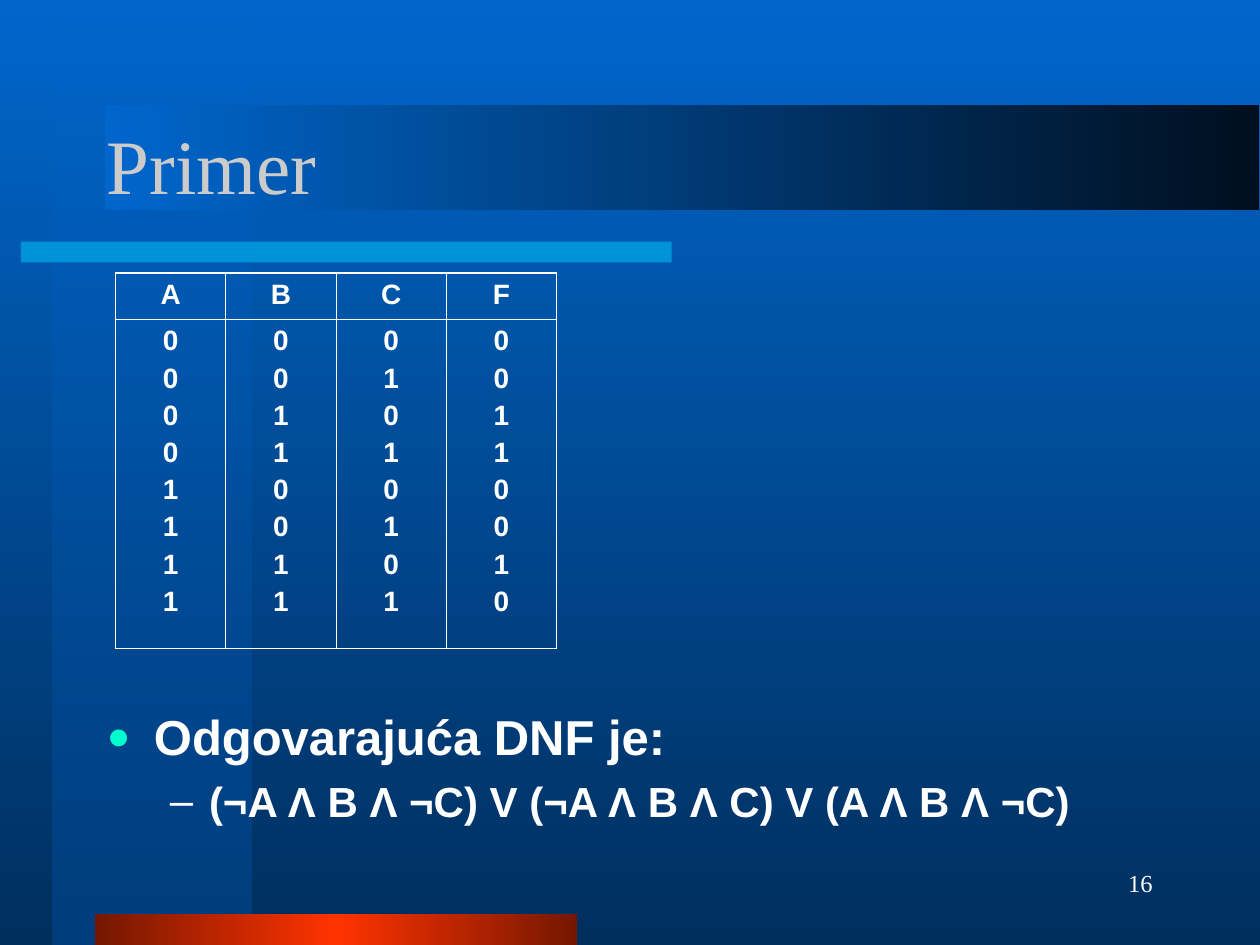
from lxml.etree import SubElement
from pptx import Presentation
from pptx.dml.color import RGBColor
from pptx.enum.shapes import MSO_SHAPE
from pptx.enum.text import MSO_ANCHOR, MSO_AUTO_SIZE, PP_ALIGN
from pptx.oxml import parse_xml
from pptx.oxml.ns import nsdecls, qn
from pptx.util import Cm, Pt

COLORS = {
    "white": "FFFFFF", "title": "CBCBCB", "bullet": "00FFCC", "cyan": "00CCFF",
    "blue": "0066CC", "deep": "002F5E", "column": "003E7D", "night": "000F1F",
    "red": "FF3300", "maroon": "751700",
}


def color_xml(name, alpha=100):
    return (f'<a:srgbClr val="{COLORS[name]}">'
            f'<a:alpha val="{alpha * 1000}"/></a:srgbClr>')


def gradient(stops, angle):
    gs = "".join(f'<a:gs pos="{pos * 1000}">{color_xml(name, alpha)}</a:gs>'
                 for pos, name, alpha in stops)
    return parse_xml(f'<a:gradFill {nsdecls("a")} rotWithShape="1"><a:gsLst>{gs}</a:gsLst>'
                     f'<a:lin ang="{angle * 60000}" scaled="0"/></a:gradFill>')


def solid(name, alpha):
    return parse_xml(f'<a:solidFill {nsdecls("a")}>{color_xml(name, alpha)}</a:solidFill>')


def write(p, text, size=16, font="Arial", color="white", bold=False,
          align=PP_ALIGN.LEFT, before=0, level=0):
    p.alignment = align
    p.space_before = Pt(before)
    p.level = level
    r = p.add_run()
    r.text = text
    r.font.size = Pt(size)
    r.font.name = font
    r.font.bold = bold
    r.font.color.rgb = RGBColor.from_string(COLORS[color])


def set_bullet(p, char, color, size, left, hang):
    pPr = p._p.get_or_add_pPr()
    pPr.set("marL", str(Cm(left)))
    pPr.set("indent", str(-Cm(hang)))
    clr = SubElement(pPr, qn("a:buClr"))
    SubElement(clr, qn("a:srgbClr"), val=COLORS[color])
    SubElement(pPr, qn("a:buSzPct"), val=str(size * 1000))
    SubElement(pPr, qn("a:buFont"), typeface="Arial")
    SubElement(pPr, qn("a:buChar"), char=char)


class SlideBuilder:
    serif = "Times New Roman"
    thin, thick = 0.45, 1.08

    def __init__(self, prs):
        self.s = prs.slides.add_slide(prs.slide_layouts[1])

    def background(self, stops, angle):
        fill = self.s.background.fill
        fill.solid()
        bgPr = self.s._element.cSld.bg.bgPr
        bgPr.replace(bgPr.find(qn("a:solidFill")), gradient(stops, angle))

    def bar(self, box, fill):
        sp = self.s.shapes.add_shape(MSO_SHAPE.RECTANGLE, *map(Cm, box))
        sp.shadow.inherit = False
        sp.line.fill.background()
        sp._element.spPr.find(qn("a:prstGeom")).addnext(fill)
        self.s.shapes.title._element.addprevious(sp._element)

    def frame(self, sp, box):
        sp.left, sp.top, sp.width, sp.height = map(Cm, box)
        tf = sp.text_frame
        tf.word_wrap = True
        tf.auto_size = MSO_AUTO_SIZE.NONE
        tf.vertical_anchor = MSO_ANCHOR.MIDDLE
        return tf

    def title(self, text, box):
        tf = self.frame(self.s.shapes.title, box)
        write(tf.paragraphs[0], text, size=44, font=self.serif, color="title")

    def body(self, items, box):
        tf = self.frame(self.s.placeholders[1], box)
        for i, (text, bullet, style) in enumerate(items):
            p = tf.add_paragraph() if i else tf.paragraphs[0]
            set_bullet(p, *bullet)
            write(p, text, bold=True, **style)

    def number(self, text, box):
        sp = self.s.shapes.add_textbox(*map(Cm, box))
        tf = self.frame(sp, box)
        write(tf.paragraphs[0], text, size=14, font=self.serif, align=PP_ALIGN.RIGHT)

    def cell(self, cell, lines, widths):
        for i, text in enumerate(lines):
            p = cell.text_frame.add_paragraph() if i else cell.text_frame.paragraphs[0]
            write(p, text, bold=True, align=PP_ALIGN.CENTER, before=3.5 if i else 0)
        cell.fill.background()
        tcPr = cell._tc.get_or_add_tcPr()
        for i, (side, width) in enumerate(zip("LRTB", widths)):
            tcPr.insert(i, parse_xml(
                f'<a:ln{side} {nsdecls("a")} w="{Pt(width)}"><a:solidFill>'
                f'{color_xml("white")}</a:solidFill></a:ln{side}>'))

    def table(self, columns, box, heights):
        n = len(columns)
        table = self.s.shapes.add_table(2, n, *map(Cm, box)).table
        table.first_row = table.horz_banding = False
        for row, height in zip(table.rows, heights):
            row.height = Cm(height)
        for c, (head, values) in enumerate(columns.items()):
            left = self.thin if c else self.thick
            right = self.thin if c < n - 1 else self.thick
            self.cell(table.cell(0, c), [head], (left, right, self.thick, self.thin))
            self.cell(table.cell(1, c), values, (left, right, self.thin, self.thick))


def main():
    prs = Presentation()
    prs.slide_width, prs.slide_height = Cm(25.4), Cm(19.05)
    b = SlideBuilder(prs)
    b.background([(0, "blue", 100), (100, "deep", 100)], 90)
    b.bar((1.06, 0, 4.02, 19.05), gradient([(0, "blue", 50), (100, "column", 100)], 90))
    b.bar((0.42, 4.87, 13.12, 0.42), solid("cyan", 50))
    b.bar((1.92, 18.42, 9.72, 0.63),
          gradient([(0, "maroon", 100), (50, "red", 100), (100, "maroon", 100)], 180))
    b.bar((2.12, 2.12, 23.27, 2.12),
          gradient([(0, "night", 100), (100, "blue", 100)], 180))
    b.title("Primer", (1.9, 1.7, 21.6, 3.18))
    b.body([
        ("Odgovarajuća DNF je:", ("●", "bullet", 80, 0.95, 0.95), {"size": 28}),
        ("(¬A Λ B Λ ¬C) V (¬A Λ B Λ C) V (A Λ B Λ ¬C)",
         ("–", "white", 100, 2.06, 0.79), {"size": 24, "before": 6, "level": 1}),
    ], (1.9, 13.97, 21.6, 2.96))
    b.table({"A": "00001111", "B": "00110011", "C": "01010101", "F": "00110010"},
            (2.33, 5.5, 8.89, 7.57), (0.94, 6.63))
    b.number("16", (19.47, 17.15, 4.02, 1.27))
    prs.save("out.pptx")


if __name__ == "__main__":
    main()
